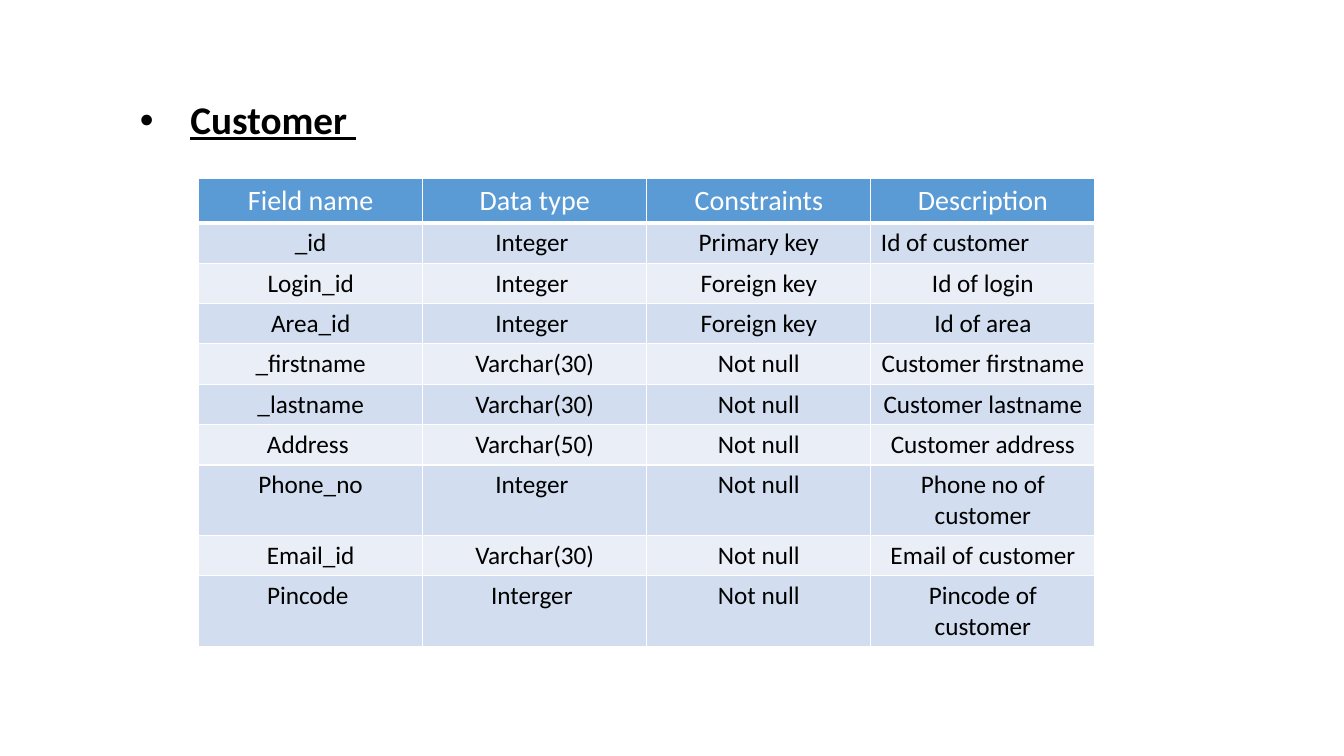
from dataclasses import dataclass

from lxml import etree
from pptx import Presentation
from pptx.dml.color import RGBColor
from pptx.enum.text import PP_ALIGN as Align
from pptx.oxml.ns import qn
from pptx.util import Inches, Pt


@dataclass(frozen=True)
class Theme:
    font: str = "Calibri"
    text: str = "000000"
    white: str = "FFFFFF"
    header: str = "5B9BD5"
    odd_row: str = "D2DEEF"
    even_row: str = "EAEFF7"
    title_size: int = 28
    header_size: int = 20
    body_size: int = 18


theme = Theme()


def write_text(frame, text, size, color=theme.text, align=Align.CENTER, bold=False, underline=False):
    paragraph = frame.paragraphs[0]
    paragraph.alignment = align
    run = paragraph.add_run()
    run.text = text
    font = run.font
    font.name = theme.font
    font.size = Pt(size)
    font.bold = bold
    font.underline = underline
    font.color.rgb = RGBColor.from_string(color)
    return paragraph


def add_borders(cell, bottom_width):
    """Draw white cell borders; call before the cell gets its fill."""
    properties = cell._tc.get_or_add_tcPr()
    for side, width in (("L", 1), ("R", 1), ("T", 1), ("B", bottom_width)):
        line = etree.SubElement(properties, qn(f"a:ln{side}"), w=str(Pt(width)))
        fill = etree.SubElement(line, qn("a:solidFill"))
        etree.SubElement(fill, qn("a:srgbClr"), val=theme.white)


presentation = Presentation()
presentation.slide_width = Inches(13.33)
presentation.slide_height = Inches(7.5)
slide = presentation.slides.add_slide(presentation.slide_layouts[6])

# Bulleted heading
heading = slide.shapes.add_textbox(Inches(1.29), Inches(0.95), Inches(6), Inches(0.6))
heading.text_frame.word_wrap = True
paragraph = write_text(heading.text_frame, "Customer ", theme.title_size,
                       align=Align.LEFT, bold=True, underline=True)
paragraph.line_spacing = 0.9
paragraph_properties = paragraph._p.get_or_add_pPr()
paragraph_properties.set("marL", str(Inches(0.5)))
paragraph_properties.set("indent", str(-Inches(0.5)))
etree.SubElement(paragraph_properties, qn("a:buFont"), typeface="Arial")
etree.SubElement(paragraph_properties, qn("a:buChar"), char="•")

# Table of customer fields
rows = [
    ("Field name", "Data type", "Constraints", "Description"),
    ("_id", "Integer ", "Primary key", "Id of customer"),
    ("Login_id", "Integer ", "Foreign key", "Id of login"),
    ("Area_id", "Integer ", "Foreign key", "Id of area"),
    ("_firstname", "Varchar(30)", "Not null", "Customer firstname"),
    ("_lastname", "Varchar(30)", "Not null", "Customer lastname"),
    ("Address ", "Varchar(50)", "Not null", "Customer address"),
    ("Phone_no", "Integer ", "Not null", "Phone no of customer"),
    ("Email_id", "Varchar(30)", "Not null", "Email of customer"),
    ("Pincode ", "Interger ", "Not null", "Pincode of customer"),
]
header_height, row_height, wrapped_height = 0.44, 0.4, 0.7
wrapped_rows = ("Phone_no", "Pincode ")
left_aligned = "Id of customer"

table = slide.shapes.add_table(len(rows), len(rows[0]), Inches(1.97), Inches(1.77),
                               Inches(8.89), Inches(4.67)).table
for column in table.columns:
    column.width = Inches(8.89 / len(rows[0]))

for row_index, values in enumerate(rows):
    is_header = row_index == 0
    if is_header:
        height, fill, color, size = header_height, theme.header, theme.white, theme.header_size
    else:
        height = wrapped_height if values[0] in wrapped_rows else row_height
        fill = theme.odd_row if row_index % 2 else theme.even_row
        color, size = theme.text, theme.body_size
    table.rows[row_index].height = Inches(height)
    for column_index, value in enumerate(values):
        cell = table.cell(row_index, column_index)
        add_borders(cell, bottom_width=3 if is_header else 1)
        cell.fill.solid()
        cell.fill.fore_color.rgb = RGBColor.from_string(fill)
        align = Align.LEFT if value == left_aligned else Align.CENTER
        write_text(cell.text_frame, value, size, color=color, align=align)

presentation.save("out.pptx")
